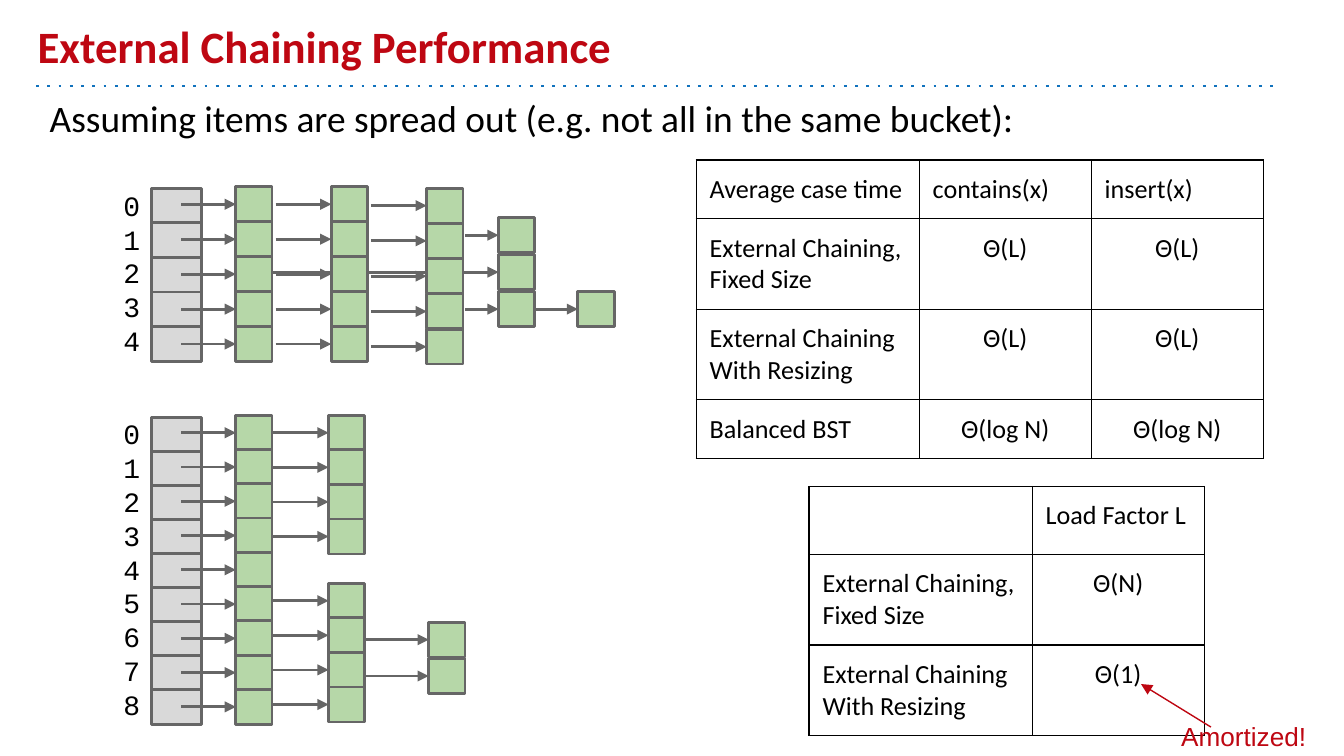
from typing import NamedTuple, Optional

from lxml.etree import SubElement
from pptx import Presentation
from pptx.dml.color import RGBColor
from pptx.enum.shapes import MSO_CONNECTOR, MSO_SHAPE
from pptx.enum.text import MSO_ANCHOR, MSO_AUTO_SIZE, PP_ALIGN
from pptx.oxml.ns import qn
from pptx.util import Inches, Pt

BLACK = RGBColor(0x00, 0x00, 0x00)
RED = RGBColor(0xBE, 0x07, 0x12)
BLUE = RGBColor(0x10, 0x72, 0xBD)
GRAY = RGBColor(0xD9, 0xD9, 0xD9)
GREEN = RGBColor(0xB6, 0xD7, 0xA8)
OUTLINE = RGBColor(0x66, 0x66, 0x66)

GRID = Inches(0.25)  # the slide is 40 columns by 22.5 rows
CELL_H = 1.04
BUCKET_W, ITEM_W = 1.48, 1.08
BUCKET_LEFT, LABEL_LEFT = 4.52, 3.28
MARGIN = Inches(0.1)


class Box(NamedTuple):
    left: float
    top: float
    width: float
    height: float


class ItemColumn(NamedTuple):
    """A stack of items; each one is pointed at from an x in starts."""
    left: float
    top: float
    pitch: float
    starts: tuple


class HashTable(NamedTuple):
    top: float
    pitch: float
    buckets: int
    label_top: float
    columns: list


class Grid(NamedTuple):
    left: float
    top: float
    widths: list
    heights: list
    rows: list


HASH_TABLES = [
    HashTable(5.6, 1.03, 5, 5.2, [
        ItemColumn(7.02, 5.56, 1.04, (5.4,) * 5),
        ItemColumn(14.84, 6.48, 1.1, (13.84, 8.12, 13.84)),
        ItemColumn(17.2, 8.68, 1.1, (15.96,)),
        ItemColumn(9.86, 5.56, 1.04, (8.2,) * 5),
        ItemColumn(12.7, 5.6, 1.05, (11.04,) * 5),
    ]),
    HashTable(12.44, 1.01, 9, 12, [
        ItemColumn(7.02, 12.36, 1.02, (5.4,) * 9),
        ItemColumn(9.78, 12.36, 1.03, (8.12,) * 4),
        ItemColumn(9.78, 17.36, 1.03, (8.12,) * 4),
        ItemColumn(12.76, 18.52, 1.08, (10.9,) * 2),
    ]),
]

FIXED = "External Chaining, Fixed Size"
RESIZING = "External Chaining With Resizing"
GRIDS = [
    Grid(20.72, 4.76, [6.64, 5.12, 5.12], [1.75, 2.68, 2.68, 1.75], [
        ["Average case time", "contains(x)", "insert(x)"],
        [FIXED, "Θ(L)", "Θ(L)"],
        [RESIZING, "Θ(L)", "Θ(L)"],
        ["Balanced BST", "Θ(log N)", "Θ(log N)"],
    ]),
    Grid(24.08, 14.48, [6.64, 5.12], [1.92, 2.68, 2.68], [
        ["", "Load Factor L"],
        [FIXED, "Θ(N)"],
        [RESIZING, "Θ(1)"],
    ]),
]


def units(*lengths: float) -> list:
    """Turn grid units into slide lengths."""
    return [round(n * GRID) for n in lengths]


def write_text(tf, text: str, *, size: float, font: str = "Calibri",
               color: RGBColor = BLACK, bold: bool = False,
               align=PP_ALIGN.LEFT, spacing: Optional[Pt] = None) -> None:
    for i, line in enumerate(text.split("\n")):
        p = tf.add_paragraph() if i else tf.paragraphs[0]
        p.alignment = align
        p.space_before = Pt(0)
        if spacing:
            p.line_spacing = spacing
        r = p.add_run()
        r.text = line
        r.font.size, r.font.name, r.font.bold = Pt(size), font, bold
        r.font.color.rgb = color


def set_frame(tf, anchor=MSO_ANCHOR.TOP) -> None:
    tf.word_wrap = True
    tf.auto_size = MSO_AUTO_SIZE.NONE
    tf.vertical_anchor = anchor
    tf.margin_left = tf.margin_right = tf.margin_top = tf.margin_bottom = MARGIN


def fill_placeholder(sp, box: Box, text: str, anchor=MSO_ANCHOR.TOP, **style) -> None:
    sp.left, sp.top, sp.width, sp.height = units(*box)
    set_frame(sp.text_frame, anchor)
    pPr = sp.text_frame.paragraphs[0]._p.get_or_add_pPr()
    pPr.set("marL", "0")
    pPr.set("indent", "0")
    SubElement(pPr, qn("a:buNone"))
    write_text(sp.text_frame, text, **style)


def add_text(s, box: Box, text: str, **style) -> None:
    sp = s.shapes.add_textbox(*units(*box))
    set_frame(sp.text_frame)
    write_text(sp.text_frame, text, **style)


def add_line(s, x1: float, y1: float, x2: float, y2: float, *,
             color: RGBColor = OUTLINE, width: float = 1.5,
             extra: str = "a:tailEnd", **attributes: str) -> None:
    """Draw a line; extra names its arrowhead or dash element."""
    c = s.shapes.add_connector(MSO_CONNECTOR.STRAIGHT, *units(x1, y1, x2, y2))
    c.line.color.rgb, c.line.width = color, Pt(width)
    SubElement(c.line._get_or_add_ln(), qn(extra), attributes or {"type": "triangle"})
    SubElement(c._element.spPr, qn("a:effectLst"))


def add_cell(s, left: float, top: float, width: float, color: RGBColor) -> None:
    sp = s.shapes.add_shape(MSO_SHAPE.RECTANGLE, *units(left, top, width, CELL_H))
    sp.shadow.inherit = False
    sp.fill.solid()
    sp.fill.fore_color.rgb = color
    sp.line.color.rgb, sp.line.width = OUTLINE, Pt(1.5)


def draw_hash_table(s, table: HashTable) -> None:
    for i in range(table.buckets):
        add_cell(s, BUCKET_LEFT, table.top + i * table.pitch, BUCKET_W, GRAY)
    add_text(s, Box(LABEL_LEFT, table.label_top, 1.28, table.buckets + 1),
             "\n".join(map(str, range(table.buckets))), size=15,
             font="Courier New", align=PP_ALIGN.RIGHT, spacing=Pt(18.1))
    for column in table.columns:
        for i, start in enumerate(column.starts):
            top = column.top + i * column.pitch
            middle = top + CELL_H / 2
            add_cell(s, column.left, top, ITEM_W, GREEN)
            add_line(s, start, middle, column.left, middle)


def add_borders(cell) -> None:
    tcPr = cell._tc.get_or_add_tcPr()
    for i, side in enumerate(("a:lnL", "a:lnR", "a:lnT", "a:lnB")):
        ln = tcPr.makeelement(qn(side), {"w": str(Pt(0.75))})
        SubElement(SubElement(ln, qn("a:solidFill")), qn("a:srgbClr"), val=str(BLACK))
        tcPr.insert(i, ln)


def draw_grid(s, grid: Grid) -> None:
    box = Box(grid.left, grid.top, sum(grid.widths), sum(grid.heights))
    table = s.shapes.add_table(len(grid.rows), len(grid.widths), *units(*box)).table
    table.first_row = table.horz_banding = False
    for column, width in zip(table.columns, units(*grid.widths)):
        column.width = width
    for row, height in zip(table.rows, units(*grid.heights)):
        row.height = height
    for i, texts in enumerate(grid.rows):
        for j, text in enumerate(texts):
            cell = table.cell(i, j)
            cell.margin_left = cell.margin_right = MARGIN
            cell.margin_top = cell.margin_bottom = MARGIN
            cell.fill.background()
            add_borders(cell)
            if text:
                write_text(cell.text_frame, text, size=14,
                           align=PP_ALIGN.CENTER if i and j else PP_ALIGN.LEFT)


def main() -> None:
    prs = Presentation()
    prs.slide_width, prs.slide_height = units(40, 22.5)
    s = prs.slides.add_slide(prs.slide_layouts[1])
    add_line(s, 1.08, 2.56, 38, 2.56, color=BLUE, extra="a:prstDash", val="dot")
    fill_placeholder(s.shapes.title, Box(0.72, 0.4, 36, 2.16),
                     "External Chaining Performance", MSO_ANCHOR.BOTTOM,
                     size=24, color=RED, bold=True)
    fill_placeholder(s.placeholders[1], Box(1.08, 2.44, 36.6, 3.04),
                     "Assuming items are spread out (e.g. not all in the same bucket):",
                     size=20)
    for grid in GRIDS:
        draw_grid(s, grid)
    for table in HASH_TABLES:
        draw_hash_table(s, table)
    add_text(s, Box(34.76, 21.04, 4.64, 1.44), "Amortized!",
             size=14, font="Arial", color=RED)
    add_line(s, 36.04, 21.64, 33.96, 20.36, color=RED, width=0.75)
    prs.save("out.pptx")


if __name__ == "__main__":
    main()
